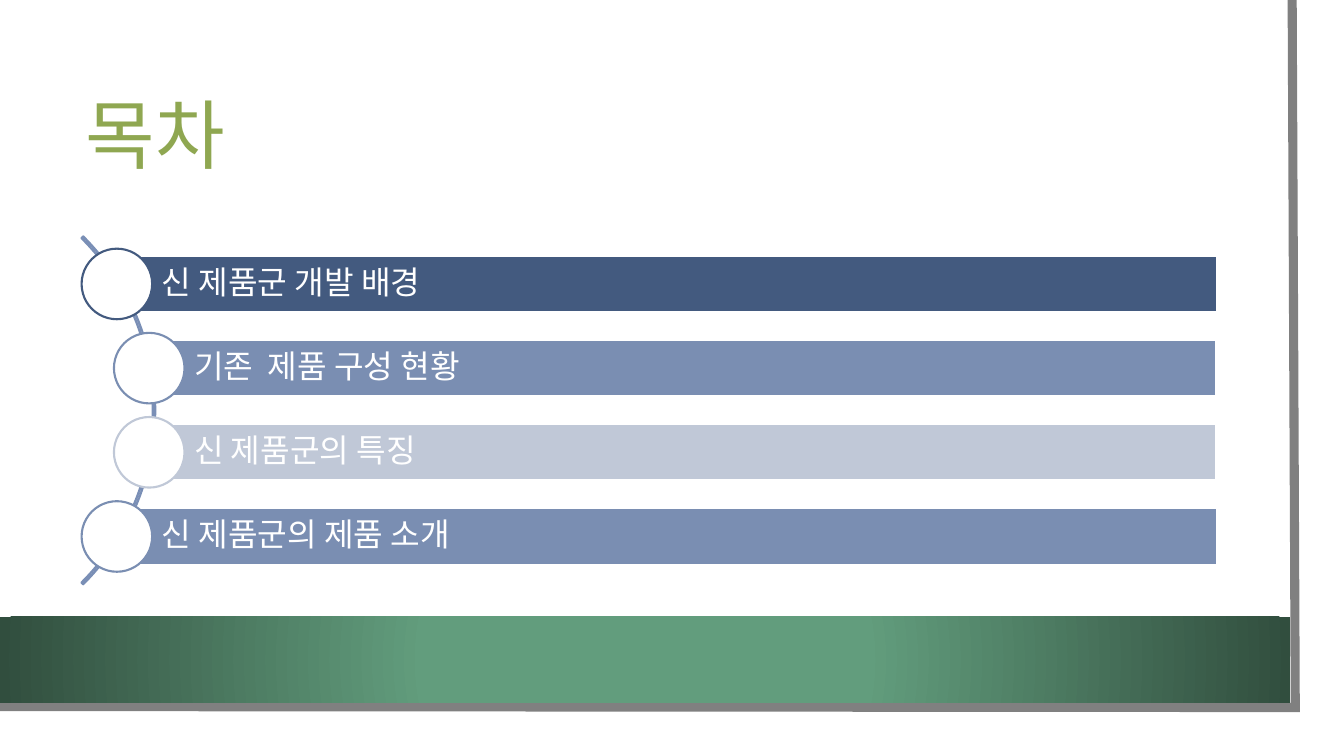
from dataclasses import dataclass

import pptx
import pptx.dml.color
import pptx.enum.shapes
import pptx.enum.text
import pptx.oxml
import pptx.oxml.ns
import pptx.util
from pptx.shapes.autoshape import Shape
from pptx.slide import Slide
from pptx.util import Pt

COLORS = {
    "white": "FFFFFF",
    "frame": "808080",
    "title": "8FA751",
    "band_center": "629D7D",
    "band_edge": "314E3E",
    "arc": "7A8FB6",
    "navy": "435A7F",
    "blue": "7A8EB2",
    "pale": "C0C8D7",
}
FONT = "Noto Sans CJK KR"
KIND = pptx.enum.shapes.MSO_SHAPE
FIRST_TOP, STEP = 182.7, 60.12
BAR_RIGHT, BAR_HEIGHT = 869, 40.3
CIRCLE_SIZE = 50.4
OUTER_LEFT, INNER_LEFT = 83.5, 106.6


@dataclass
class AgendaItem:
    text: str
    left: float
    color: str


AGENDA = [
    AgendaItem("신 제품군 개발 배경", OUTER_LEFT, "navy"),
    AgendaItem("기존  제품 구성 현황", INNER_LEFT, "blue"),
    AgendaItem("신 제품군의 특징", INNER_LEFT, "pale"),
    AgendaItem("신 제품군의 제품 소개", OUTER_LEFT, "blue"),
]


def rgb(name: str) -> pptx.dml.color.RGBColor:
    return pptx.dml.color.RGBColor.from_string(COLORS[name])


def xml_element(tag: str, attributes: str = "", content: str = ""):
    namespace = pptx.oxml.ns.nsdecls("a")
    return pptx.oxml.parse_xml(f"<a:{tag} {namespace} {attributes}>{content}</a:{tag}>")


def style_shape(shape: Shape, fill: str | None = None, line: str | None = None,
                width: float = 1.5) -> None:
    shape.shadow.inherit = False
    if fill:
        shape.fill.solid()
        shape.fill.fore_color.rgb = rgb(fill)
    else:
        shape.fill.background()
    if line:
        shape.line.color.rgb = rgb(line)
        shape.line.width = Pt(width)
    else:
        shape.line.fill.background()


def add_shape(slide: Slide, kind: KIND, left: float, top: float, width: float,
              height: float, **style) -> Shape:
    shape = slide.shapes.add_shape(kind, Pt(left), Pt(top), Pt(width), Pt(height))
    style_shape(shape, **style)
    return shape


def write_text(shape: Shape, text: str, *, size: float, color: str,
               insets: tuple[float, float, float, float] = (7.2, 3.6, 7.2, 3.6)) -> None:
    frame = shape.text_frame
    frame.word_wrap = True
    frame.auto_size = pptx.enum.text.MSO_AUTO_SIZE.NONE
    frame.vertical_anchor = pptx.enum.text.MSO_ANCHOR.MIDDLE
    frame.margin_left, frame.margin_top, frame.margin_right, frame.margin_bottom = map(Pt, insets)
    paragraph = frame.paragraphs[0]
    paragraph.alignment = pptx.enum.text.PP_ALIGN.LEFT
    paragraph.line_spacing = 0.9
    paragraph.space_before = Pt(0)
    run = paragraph.add_run()
    run.text = text
    run.font.name = FONT
    run.font.size = Pt(size)
    run.font.color.rgb = rgb(color)
    latin = run.font._element.find(pptx.oxml.ns.qn("a:latin"))
    latin.addnext(xml_element("ea", f'typeface="{FONT}"'))


def add_page_frame(slide: Slide) -> None:
    builder = slide.shapes.build_freeform(Pt(923), Pt(0))
    builder.add_line_segments([(Pt(925.2), Pt(505.4)), (Pt(-2.2), Pt(504.7))], close=False)
    frame = builder.convert_to_shape()
    style_shape(frame, line="frame", width=6.5)
    frame.line._get_or_add_ln().append(xml_element("miter", 'lim="800000"'))


def add_green_band(slide: Slide) -> None:
    band = add_shape(slide, KIND.RECTANGLE, 0, 440.7, 921.6, 61.2)
    band.fill.gradient()
    stops = zip(band.fill.gradient_stops, (0.34, 1), ("band_center", "band_edge"))
    for stop, position, color in stops:
        stop.position = position
        stop.color.rgb = rgb(color)
    linear = next(band.element.iter(pptx.oxml.ns.qn("a:lin")))
    center = '<a:fillToRect l="50000" t="50000" r="50000" b="50000"/>'
    linear.getparent().replace(linear, xml_element("path", 'path="circle"', center))


def add_title(slide: Slide) -> None:
    title = slide.shapes.title
    title.left, title.top, title.width, title.height = map(Pt, (54, 54, 818.6, 90.7))
    write_text(title, "목차", size=54, color="title")
    title.element.getparent().append(title.element)


def add_agenda(slide: Slide) -> None:
    arc = add_shape(slide, KIND.BLOCK_ARC, -240.5, 117.4, 351.4, 351.4, line="arc")
    for index, value in enumerate((189, 27, 0.005)):
        arc.adjustments[index] = value
    for index, item in enumerate(AGENDA):
        top = FIRST_TOP + index * STEP
        bar = add_shape(slide, KIND.RECTANGLE, item.left, top, BAR_RIGHT - item.left,
                        BAR_HEIGHT, fill=item.color, line="white")
        write_text(bar, item.text, size=23, color="white", insets=(32, 4.3, 4.3, 4.3))
        add_shape(slide, KIND.OVAL, item.left - CIRCLE_SIZE / 2,
                  top + (BAR_HEIGHT - CIRCLE_SIZE) / 2, CIRCLE_SIZE, CIRCLE_SIZE,
                  fill="white", line=item.color)


def main() -> None:
    presentation = pptx.Presentation()
    presentation.slide_width, presentation.slide_height = Pt(960), Pt(540)
    slide = presentation.slides.add_slide(presentation.slide_layouts[5])
    add_shape(slide, KIND.RECTANGLE, 0, 0, 943.2, 523.4, fill="white")
    add_page_frame(slide)
    add_green_band(slide)
    add_title(slide)
    add_agenda(slide)
    presentation.save("out.pptx")


if __name__ == "__main__":
    main()
